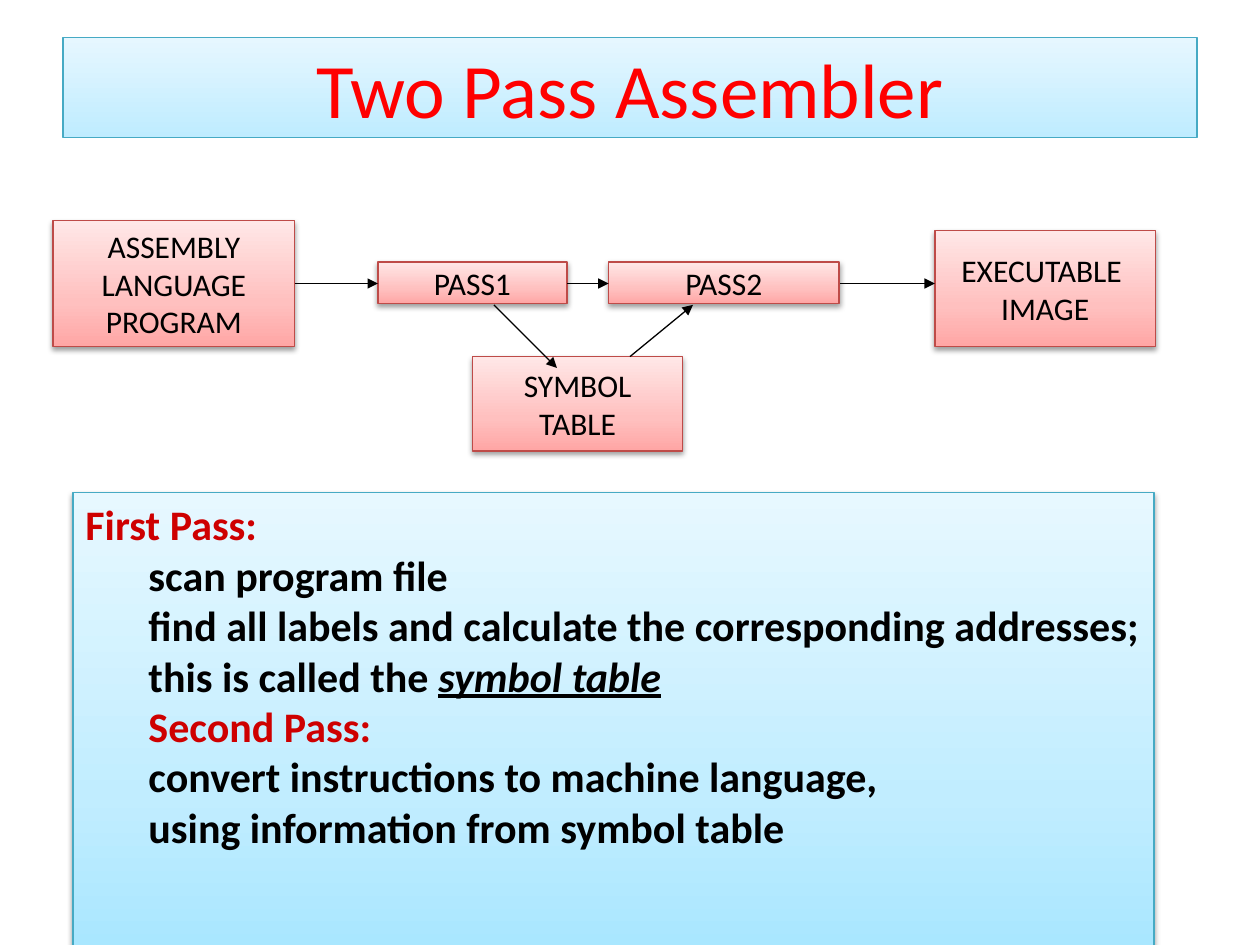
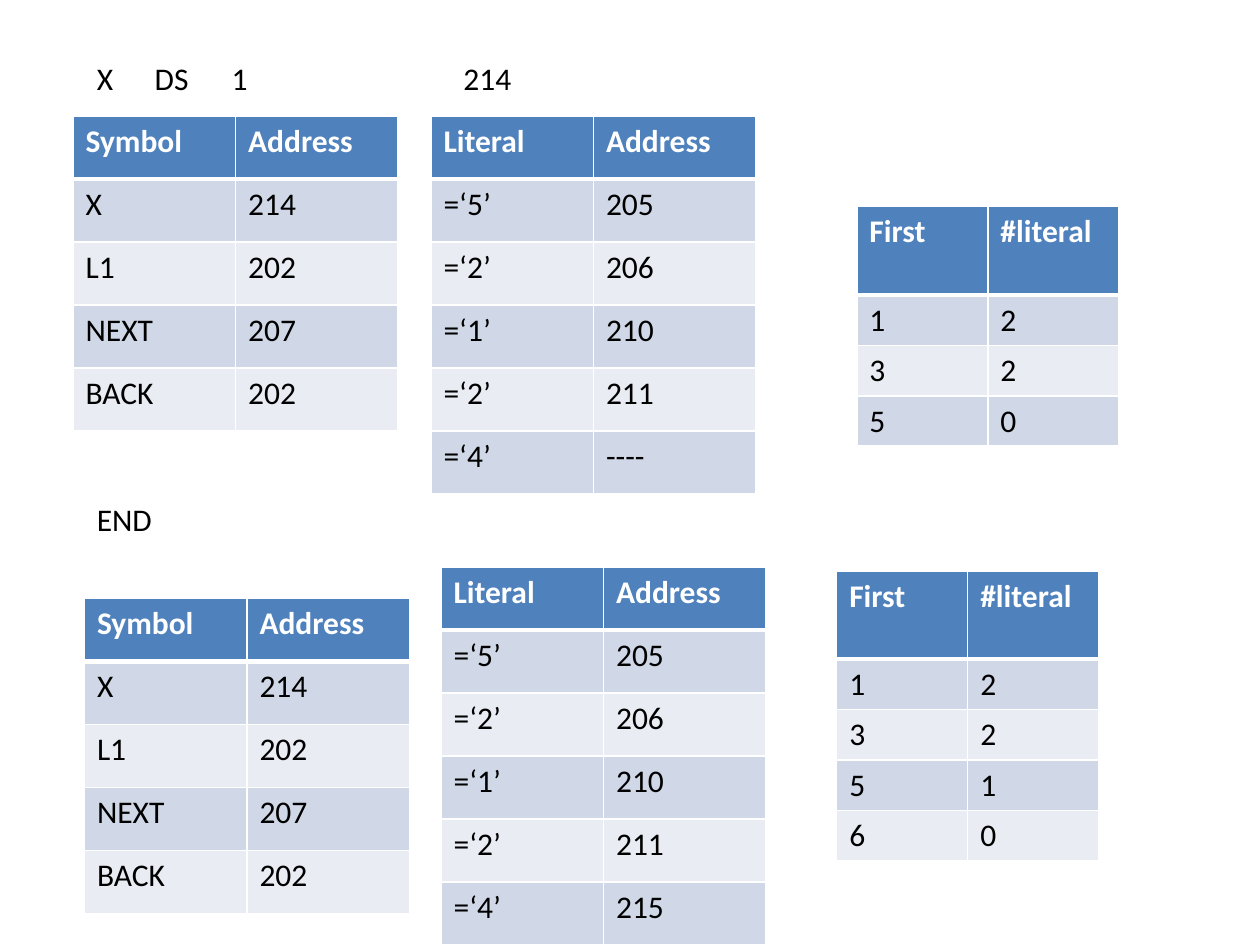
from lxml.etree import SubElement
from pptx import Presentation
from pptx.dml.color import RGBColor
from pptx.enum.shapes import MSO_CONNECTOR as Connector, MSO_SHAPE as Shape
from pptx.enum.text import MSO_ANCHOR as Anchor, PP_ALIGN as Align
from pptx.oxml.ns import qn
from pptx.util import Inches, Pt

FONT = "Calibri"
COLORS = {
    "black": "000000", "white": "FFFFFF", "title": "FF0000", "heading": "CE0000",
    "blue line": "46AAC4", "red line": "BE4B48",
    "header": "4F81BD", "odd row": "D0D8E7", "even row": "E9ECF3",
}
GRADIENTS = {
    "title": [(0, "BFECFF"), (100, "E6F7FF")],
    "red": [(0, "FFA6A5"), (35, "FFC0BF"), (100, "FFE7E7")],
    "blue": [(0, "A7E6FF"), (35, "C1EDFF"), (100, "E7F8FF")],
}


def rgb(name):
    """Return the named colour."""
    return RGBColor.from_string(COLORS[name])


def add_run(paragraph, text, size=18, color="black", bold=False, emphasis=False):
    """Append one formatted run."""
    run = paragraph.add_run()
    run.text = text
    font = run.font
    font.name, font.size, font.bold = FONT, Pt(size), bold
    font.color.rgb = rgb(color)
    if emphasis:
        font.italic = font.underline = True


def add_panel(slide, box, gradient, line, shadow=True):
    """Draw a gradient rectangle and return its text frame."""
    shape = slide.shapes.add_shape(Shape.RECTANGLE, *map(Inches, box))
    shape.fill.gradient()
    shape.fill.gradient_angle = 90
    properties = shape._element.spPr
    stops = properties.find(qn("a:gradFill")).find(qn("a:gsLst"))
    for stop in list(stops):
        stops.remove(stop)
    for position, value in GRADIENTS[gradient]:
        stop = SubElement(stops, qn("a:gs"), pos=str(position * 1000))
        SubElement(stop, qn("a:srgbClr"), val=value)
    shape.line.color.rgb = rgb(line)
    shape.line.width = Pt(0.75)
    shape.shadow.inherit = False
    if shadow:
        outer = SubElement(properties.find(qn("a:effectLst")), qn("a:outerShdw"), blurRad="40000",
                           dist="20000", dir="5400000", rotWithShape="0")
        color = SubElement(outer, qn("a:srgbClr"), val=COLORS["black"])
        SubElement(color, qn("a:alpha"), val="38000")
    frame = shape.text_frame
    frame.word_wrap = True
    return frame


def add_centred_lines(frame, lines, **style):
    """Write one centred paragraph for each line."""
    frame.vertical_anchor = Anchor.MIDDLE
    for index, line in enumerate(lines):
        paragraph = frame.add_paragraph() if index else frame.paragraphs[0]
        paragraph.alignment = Align.CENTER
        add_run(paragraph, line, **style)


def add_title(slide, box, text):
    """Draw the title band."""
    frame = add_panel(slide, box, "title", "blue line", shadow=False)
    add_centred_lines(frame, [text], size=44, color="title")


def add_arrow(slide, start, end):
    """Draw a thin black arrow."""
    arrow = slide.shapes.add_connector(Connector.STRAIGHT, *map(Inches, (*start, *end)))
    arrow.line.color.rgb = rgb("black")
    arrow.line.width = Pt(0.75)
    properties = arrow._element.spPr
    SubElement(properties.find(qn("a:ln")), qn("a:tailEnd"), type="triangle")
    SubElement(properties, qn("a:effectLst"))


def add_flow(slide, left, top):
    """Draw the assembler flow from source program to executable."""
    stages = [
        (0, 0, 1.92, 1, ["ASSEMBLY", "LANGUAGE", "PROGRAM"]),
        (2.58, 0.33, 1.5, 0.33, ["PASS1"]),
        (4.41, 0.33, 1.83, 0.33, ["PASS2"]),
        (7, 0.08, 1.75, 0.92, ["EXECUTABLE ", "IMAGE"]),
        (3.33, 1.08, 1.67, 0.75, ["SYMBOL", "TABLE"]),
    ]
    arrows = [
        (1.92, 0.5, 2.58, 0.5), (4.08, 0.5, 4.41, 0.5), (6.25, 0.5, 7, 0.5),
        (3.5, 0.67, 4, 1.17), (4.58, 1.08, 5.08, 0.67),
    ]
    for x, y, width, height, lines in stages:
        frame = add_panel(slide, (left + x, top + y, width, height), "red", "red line")
        frame.word_wrap = False
        add_centred_lines(frame, lines)
    for x1, y1, x2, y2 in arrows:
        add_arrow(slide, (left + x1, top + y1), (left + x2, top + y2))


def add_pass_notes(slide, box):
    """Write what each pass does."""
    notes = [
        (0, "heading", ["First Pass:"], ""),
        (0.5, "black", ["scan program file"], ""),
        (0.5, "black", ["find all labels and calculate the corresponding addresses;",
                        "this is called the "], "symbol table"),
        (0.5, "heading", ["Second Pass:"], ""),
        (0.5, "black", ["convert instructions to machine language,",
                        "using information from symbol table"], ""),
    ]
    frame = add_panel(slide, box, "blue", "blue line")
    frame.vertical_anchor = Anchor.TOP
    for index, (indent, color, lines, term) in enumerate(notes):
        paragraph = frame.add_paragraph() if index else frame.paragraphs[0]
        paragraph.alignment = Align.LEFT
        paragraph._p.get_or_add_pPr().set("marL", str(Inches(indent)))
        for number, line in enumerate(lines):
            if number:
                paragraph.add_line_break()
            add_run(paragraph, line, 24, color, bold=True)
        if term:
            add_run(paragraph, term, 24, color, bold=True, emphasis=True)


def add_label(slide, box, text, tabs=()):
    """Write one line of text, with tab stops in inches."""
    frame = slide.shapes.add_textbox(*map(Inches, box)).text_frame
    frame.word_wrap = True
    paragraph = frame.paragraphs[0]
    if tabs:
        tab_list = SubElement(paragraph._p.get_or_add_pPr(), qn("a:tabLst"))
        for tab in tabs:
            SubElement(tab_list, qn("a:tab"), pos=str(Inches(tab)), algn="l")
    add_run(paragraph, text)


def add_borders(cell, top, bottom):
    """Give a cell white borders."""
    properties = cell._tc.get_or_add_tcPr()
    for side, width in (("L", 0.96), ("R", 0.96), ("T", top), ("B", bottom)):
        line = SubElement(properties, qn(f"a:ln{side}"), w=str(Pt(width)))
        fill = SubElement(line, qn("a:solidFill"))
        SubElement(fill, qn("a:srgbClr"), val=COLORS["white"])


def add_grid(slide, left, top, column_width, heights, rows):
    """Draw a banded two-column table; heights are for header and body rows."""
    row_heights = [heights[0]] + [heights[1]] * (len(rows) - 1)
    box = (left, top, 2 * column_width, sum(row_heights))
    table = slide.shapes.add_table(len(rows), 2, *map(Inches, box)).table
    for column in table.columns:
        column.width = Inches(column_width)
    for index, values in enumerate(rows):
        table.rows[index].height = Inches(row_heights[index])
        header = index == 0
        fill = "header" if header else "odd row" if index % 2 else "even row"
        for column, value in enumerate(values):
            cell = table.cell(index, column)
            add_borders(cell, 3 if index == 1 else 0.96, 3 if header else 0.96)
            cell.fill.solid()
            cell.fill.fore_color.rgb = rgb(fill)
            add_run(cell.text_frame.paragraphs[0], value,
                    color="white" if header else "black", bold=header)


def add_symbol_table(slide, left, top):
    """Draw the symbol table."""
    rows = [("Symbol", "Address"), ("X", "214"), ("L1", "202"), ("NEXT", "207"), ("BACK", "202")]
    add_grid(slide, left, top, 1.29, (0.5, 0.5), rows)


def add_literal_table(slide, left, top, last_address):
    """Draw the literal table, whose last address varies."""
    literals = zip("52124", ("205", "206", "210", "211", last_address))
    rows = [("Literal", "Address")] + [(f"=‘{digit}’", address) for digit, address in literals]
    add_grid(slide, left, top, 1.29, (0.5, 0.5), rows)


def add_pool_table(slide, left, top, pools):
    """Draw the literal pool table."""
    add_grid(slide, left, top, 1.04, (0.7, 0.4), [("First", "#literal"), *pools])


def build_assembler_slide(slide):
    """Build the two-pass overview."""
    add_title(slide, (0.5, 0.3, 9, 0.79), "Two Pass Assembler")
    add_flow(slide, 0.42, 1.75)
    add_pass_notes(slide, (0.58, 3.91, 8.58, 3.7))


def build_tables_slide(slide):
    """Build the tables after the DS and END statements."""
    add_label(slide, (0.67, 0.42, 2.83, 0.4), "X\tDS\t1", tabs=(0.46, 1.07))
    add_label(slide, (3.58, 0.42, 1.33, 0.4), "214")
    add_symbol_table(slide, 0.58, 0.92)
    add_label(slide, (0.67, 3.92, 5.5, 0.4), "END")
    add_symbol_table(slide, 0.67, 4.75)
    add_literal_table(slide, 3.42, 0.92, "----")
    add_literal_table(slide, 3.5, 4.5, "215")
    add_pool_table(slide, 6.8, 1.64, ["12", "32", "50"])
    add_pool_table(slide, 6.64, 4.53, ["12", "32", "51", "60"])


def main():
    """Build and save the presentation."""
    presentation = Presentation()
    presentation.slide_width, presentation.slide_height = Inches(10), Inches(7.5)
    for build in (build_assembler_slide, build_tables_slide):
        build(presentation.slides.add_slide(presentation.slide_layouts[6]))
    presentation.save("out.pptx")


if __name__ == "__main__":
    main()
